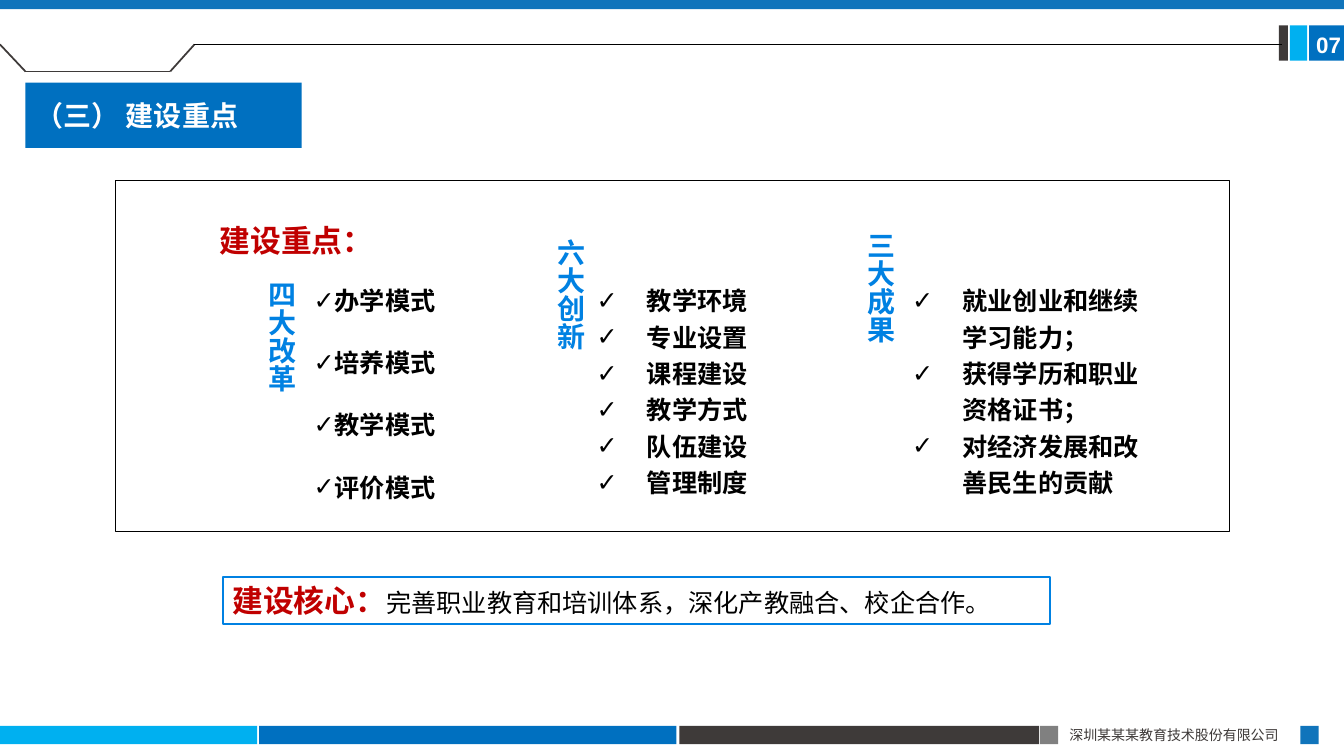
from lxml import etree
from pptx import Presentation
from pptx.dml.color import RGBColor
from pptx.enum.shapes import MSO_CONNECTOR, MSO_SHAPE
from pptx.enum.text import MSO_ANCHOR, MSO_AUTO_SIZE, PP_ALIGN
from pptx.oxml.ns import qn
from pptx.util import Cm, Pt

BLUE = RGBColor(0x00, 0x70, 0xC0)
DEEP_BLUE = RGBColor(0x10, 0x74, 0xBB)
BRIGHT_BLUE = RGBColor(0x00, 0x81, 0xE2)
CYAN = RGBColor(0x00, 0xB0, 0xF0)
DARK = RGBColor(0x3E, 0x3A, 0x39)
GRAY = RGBColor(0x80, 0x80, 0x80)
RED = RGBColor(0xC0, 0x00, 0x00)
BLACK = RGBColor(0x00, 0x00, 0x00)
WHITE = RGBColor(0xFF, 0xFF, 0xFF)
CJK = "Noto Sans CJK SC"


def add_run(paragraph, text, size, color, bold=True, latin=CJK):
    run = paragraph.add_run()
    run.text = text
    for name, value in {"size": Pt(size), "bold": bold, "name": latin}.items():
        setattr(run.font, name, value)
    run.font.color.rgb = color
    etree.SubElement(run._r.get_or_add_rPr(), qn("a:ea"), typeface=CJK)


def place(shape, box, anchor=MSO_ANCHOR.TOP):
    """Set position in cm and common text settings; return the first paragraph."""
    shape.left, shape.top, shape.width, shape.height = map(Cm, box)
    frame = shape.text_frame
    frame.word_wrap = True
    frame.auto_size = MSO_AUTO_SIZE.NONE
    frame.vertical_anchor = anchor
    frame.paragraphs[0].alignment = PP_ALIGN.LEFT
    return frame.paragraphs[0]


prs = Presentation()
prs.slide_width, prs.slide_height = Cm(33.87), Cm(19.05)
slide = prs.slides.add_slide(prs.slide_layouts[4])
shapes = slide.shapes
for holder in list(slide.placeholders):
    if holder.placeholder_format.idx > 4:
        holder._element.getparent().remove(holder._element)
holders = {h.placeholder_format.idx: h for h in slide.placeholders}

# Coloured bars: footer, page badge, top edge
bars = [
    (0, 18.29, 6.48, 0.46, CYAN),
    (6.53, 18.29, 10.52, 0.46, BLUE),
    (17.12, 18.29, 9.07, 0.46, DARK),
    (26.21, 18.29, 0.46, 0.46, GRAY),
    (32.77, 18.29, 0.46, 0.46, DEEP_BLUE),
    (32.99, 0.64, 0.88, 0.89, BLUE),
    (32.51, 0.64, 0.43, 0.89, CYAN),
    (32.23, 0.64, 0.23, 0.89, DARK),
    (0, 0, 33.87, 0.23, DEEP_BLUE),
]
for *box, color in bars:
    bar = shapes.add_shape(MSO_SHAPE.RECTANGLE, *map(Cm, box))
    bar.shadow.inherit = False
    bar.fill.solid()
    bar.fill.fore_color.rgb = color
    bar.line.fill.background()

# Header line with its notch
notch = [(0, 1.12), (0.64, 1.8), (4.29, 1.8), (4.9, 1.12), (32.31, 1.12)]
strokes = [(DARK, 1.25)] * 3 + [(BLACK, 0.5)]
for start, end, (color, width) in zip(notch, notch[1:], strokes):
    line = shapes.add_connector(MSO_CONNECTOR.STRAIGHT, *map(Cm, start + end))
    line.line.color.rgb = color
    line.line.width = Pt(width)
    etree.SubElement(line._element.spPr, qn("a:effectLst"))

# Outlined boxes: content frame and core statement
outlines = [
    ((2.9, 4.55, 28.09, 8.84), BLACK, 0.25),
    ((5.61, 14.53, 20.85, 1.19), BRIGHT_BLUE, 1.5),
]
for box, color, width in outlines:
    outline = shapes.add_shape(MSO_SHAPE.RECTANGLE, *map(Cm, box))
    outline.shadow.inherit = False
    outline.fill.background()
    outline.line.color.rgb = color
    outline.line.width = Pt(width)
core = place(outline, outlines[-1][0])
add_run(core, "建设核心", 22, RED)
add_run(core, "：", 22, RED, latin="Calibri")
add_run(core, "完善职业教育和培训体系，深化产教融合、校企合作。", 18, BLACK, bold=False)

# Title
title = shapes.title
title.fill.solid()
title.fill.fore_color.rgb = BLUE
add_run(place(title, (0.64, 2.08, 6.96, 1.65), MSO_ANCHOR.MIDDLE),
        "（三） 建设重点", 20, WHITE, latin="Calibri")

# Section heading
heading = place(holders[1], (5.28, 5.46, 6.93, 1.19))
heading.space_before = Pt(0)
add_run(heading, "建设重点", 22, RED)
add_run(heading, "：", 22, RED, latin="Calibri")

# Check lists: placeholder, box, indent in cm, line spacing, paragraph gap, items
check_lists = [
    (2, (7.65, 6.68, 4.75, 6.02), 0, 1.5, 6,
     ["办学模式", "培养模式", "教学模式", "评价模式"]),
    (3, (14.78, 6.91, 5.66, 5.74), 1.27, Pt(26), 0,
     ["教学环境", "专业设置", "课程建设", "教学方式", "队伍建设", "管理制度"]),
    (4, (22.73, 6.91, 6.3, 5.74), 1.27, Pt(26), 0,
     ["就业创业和继续学习能力；", "获得学历和职业资格证书；", "对经济发展和改善民生的贡献"]),
]
for idx, box, indent, spacing, gap, items in check_lists:
    paragraph = place(holders[idx], box)
    for number, item in enumerate(items):
        if number:
            paragraph = holders[idx].text_frame.add_paragraph()
        paragraph.line_spacing = spacing
        paragraph.space_before = Pt(gap if number else 0)
        paragraph.space_after = Pt(gap)
        props = paragraph._p.get_or_add_pPr()
        props.set("marL", str(Cm(indent)))
        props.set("indent", str(-Cm(indent)))
        etree.SubElement(props, qn("a:buChar"), char="✓")
        add_run(paragraph, item, 18, BLACK)

# Vertical column labels
labels = [
    ("四大改革", (6.27, 6.83, 1.37, 5.26)),
    ("六大创新", (12.8, 5.77, 2.13, 7.24)),
    ("三大成果", (20.6, 5.59, 2.13, 7.47)),
]
for text, box in labels:
    label = shapes.add_textbox(*map(Cm, box))
    add_run(place(label, box), text, 20, BRIGHT_BLUE)
    label.text_frame._txBody.bodyPr.set("vert", "eaVert")

# Page number and company name
page_box = (32.92, 0.66, 1.27, 0.94)
add_run(place(shapes.add_textbox(*map(Cm, page_box)), page_box), "07", 16, WHITE, latin="Arial")
company_box = (26.7, 18.19, 6.1, 0.69)
add_run(place(shapes.add_textbox(*map(Cm, company_box)), company_box),
        "深圳某某某教育技术股份有限公司", 10, DARK, bold=False)

prs.save("out.pptx")
